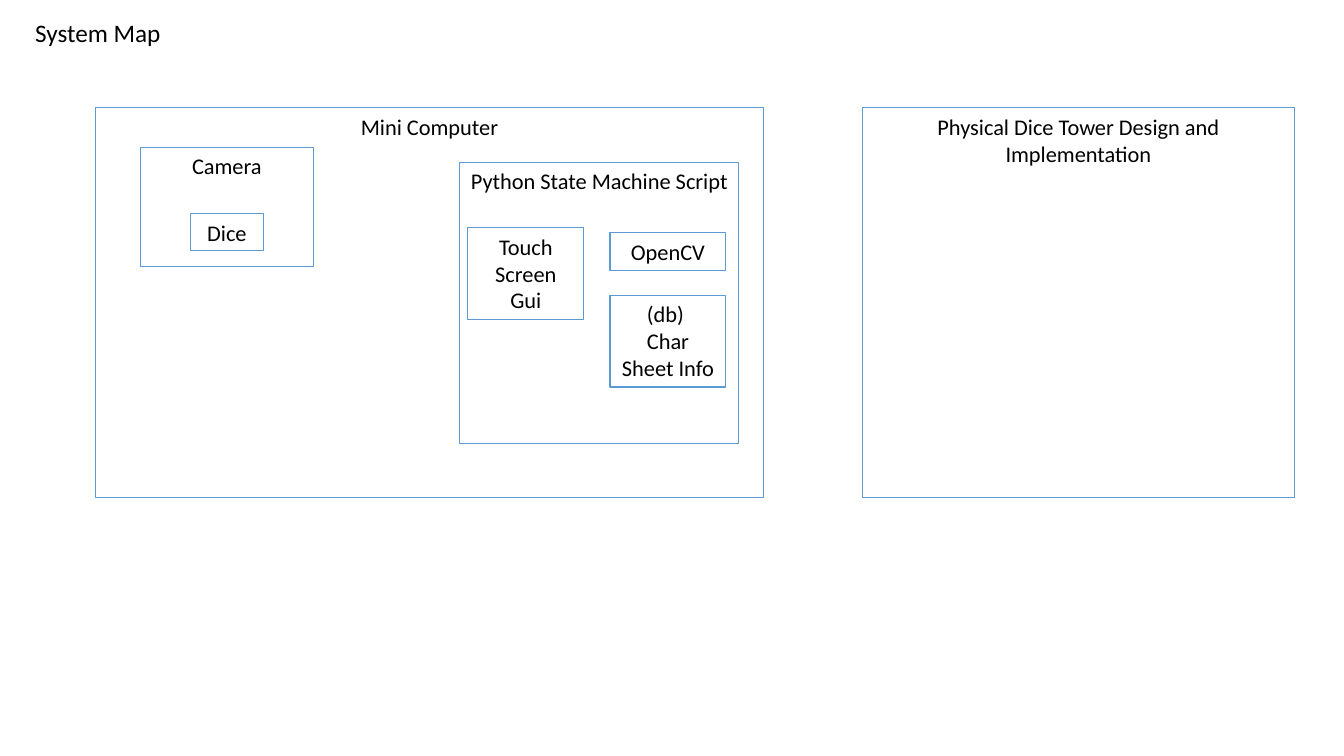
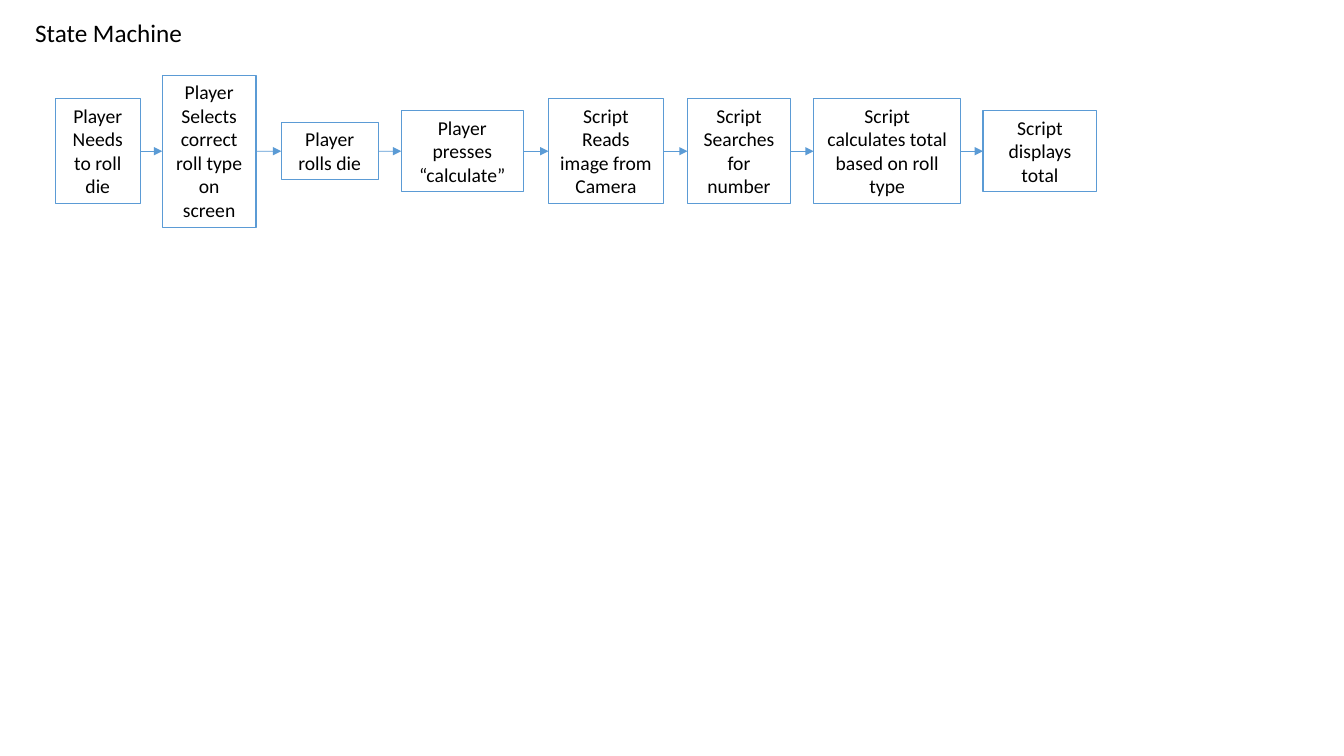
from lxml import etree
from pptx import Presentation
from pptx.dml.color import RGBColor
from pptx.enum.shapes import MSO_CONNECTOR, MSO_SHAPE
from pptx.enum.text import MSO_ANCHOR, PP_ALIGN
from pptx.oxml.ns import qn
from pptx.util import Inches, Pt

RECTANGLE = MSO_SHAPE.RECTANGLE
STRAIGHT = MSO_CONNECTOR.STRAIGHT
TOP = MSO_ANCHOR.TOP
LEFT, CENTER = PP_ALIGN.LEFT, PP_ALIGN.CENTER

BLUE = RGBColor(0x5B, 0x9B, 0xD5)
BLACK = RGBColor(0x00, 0x00, 0x00)
FONT = "Calibri"
RIGHT_SIDE, LEFT_SIDE = 3, 1

# Label, left, top, width, height
SYSTEM_PARTS = [
    ("Mini Computer", 0.95, 1.07, 6.62, 3.87),
    ("Python State Machine Script", 4.56, 1.61, 2.77, 2.79),
    ("Dice", 1.89, 2.12, 0.72, 0.37),
    ("OpenCV", 6.05, 2.31, 1.15, 0.37),
    ("Camera", 1.39, 1.46, 1.72, 1.18),
    ("Touch Screen Gui", 4.64, 2.26, 1.15, 0.91),
    ("(db) \nChar Sheet Info", 6.05, 2.93, 1.15, 0.91),
    ("Physical Dice Tower Design and Implementation", 8.55, 1.07, 4.29, 3.87),
]

# Label, left, width, number of text lines
STATES = [
    ("Player Needs to roll die", 0.55, 0.84, 4),
    ("Player Selects correct roll type on screen", 1.61, 0.93, 6),
    ("Player rolls die", 2.79, 0.96, 2),
    ("Player presses “calculate”", 3.98, 1.21, 3),
    ("Script Reads image from Camera", 5.44, 1.14, 4),
    ("Script Searches for number", 6.82, 1.02, 4),
    ("Script calculates total based on roll type", 8.07, 1.46, 4),
    ("Script displays total", 9.75, 1.13, 3),
]
STATE_MIDDLE = 1.5
STATE_LINE_HEIGHT = 0.235
STATE_PADDING = 0.1


def write(frame, text, size=16, align=LEFT, color=BLACK):
    """Fill a text frame, one paragraph per line of text."""
    frame.word_wrap = True
    frame.vertical_anchor = TOP
    frame.text = text
    for paragraph in frame.paragraphs:
        paragraph.alignment = align
        font = paragraph.font
        font.name, font.size = FONT, Pt(size)
        font.color.rgb = color


class Deck:
    """Holds the shared style and the slide being drawn."""

    def __init__(self):
        self.presentation = Presentation()
        self.presentation.slide_width = Inches(13.33)
        self.presentation.slide_height = Inches(7.5)
        self.slide = None

    def new_slide(self, title):
        blank = self.presentation.slide_layouts[6]
        self.slide = self.presentation.slides.add_slide(blank)
        heading = self.slide.shapes.add_textbox(
            Inches(0.25), Inches(0.12), Inches(1.96), Inches(0.4))
        write(heading.text_frame, title, size=18)

    def box(self, label, left, top, width, height, size=16):
        outline = self.slide.shapes.add_shape(
            RECTANGLE, Inches(left), Inches(top), Inches(width), Inches(height))
        outline.shadow.inherit = False
        outline.fill.background()
        outline.line.color.rgb = BLUE
        outline.line.width = Pt(0.75)
        write(outline.text_frame, label, size=size, align=CENTER)
        return outline

    def arrow(self, source, target):
        """Join the right side of one box to the left side of the next."""
        link = self.slide.shapes.add_connector(STRAIGHT, 0, 0, 0, 0)
        link.begin_connect(source, RIGHT_SIDE)
        link.end_connect(target, LEFT_SIDE)
        link.line.color.rgb = BLUE
        link.line.width = Pt(0.5)
        properties = link._element.spPr
        etree.SubElement(properties.find(qn("a:ln")), qn("a:tailEnd"), type="triangle")
        etree.SubElement(properties, qn("a:effectLst"))


def draw_system_map(deck):
    deck.new_slide("System Map")
    for part in SYSTEM_PARTS:
        deck.box(*part)


def draw_state_machine(deck):
    deck.new_slide("State Machine")
    previous = None
    for label, left, width, lines in STATES:
        height = STATE_PADDING + lines * STATE_LINE_HEIGHT
        state = deck.box(label, left, STATE_MIDDLE - height / 2, width, height, size=14)
        if previous is not None:
            deck.arrow(previous, state)
        previous = state


def main():
    deck = Deck()
    draw_system_map(deck)
    draw_state_machine(deck)
    deck.presentation.save("out.pptx")


if __name__ == "__main__":
    main()
